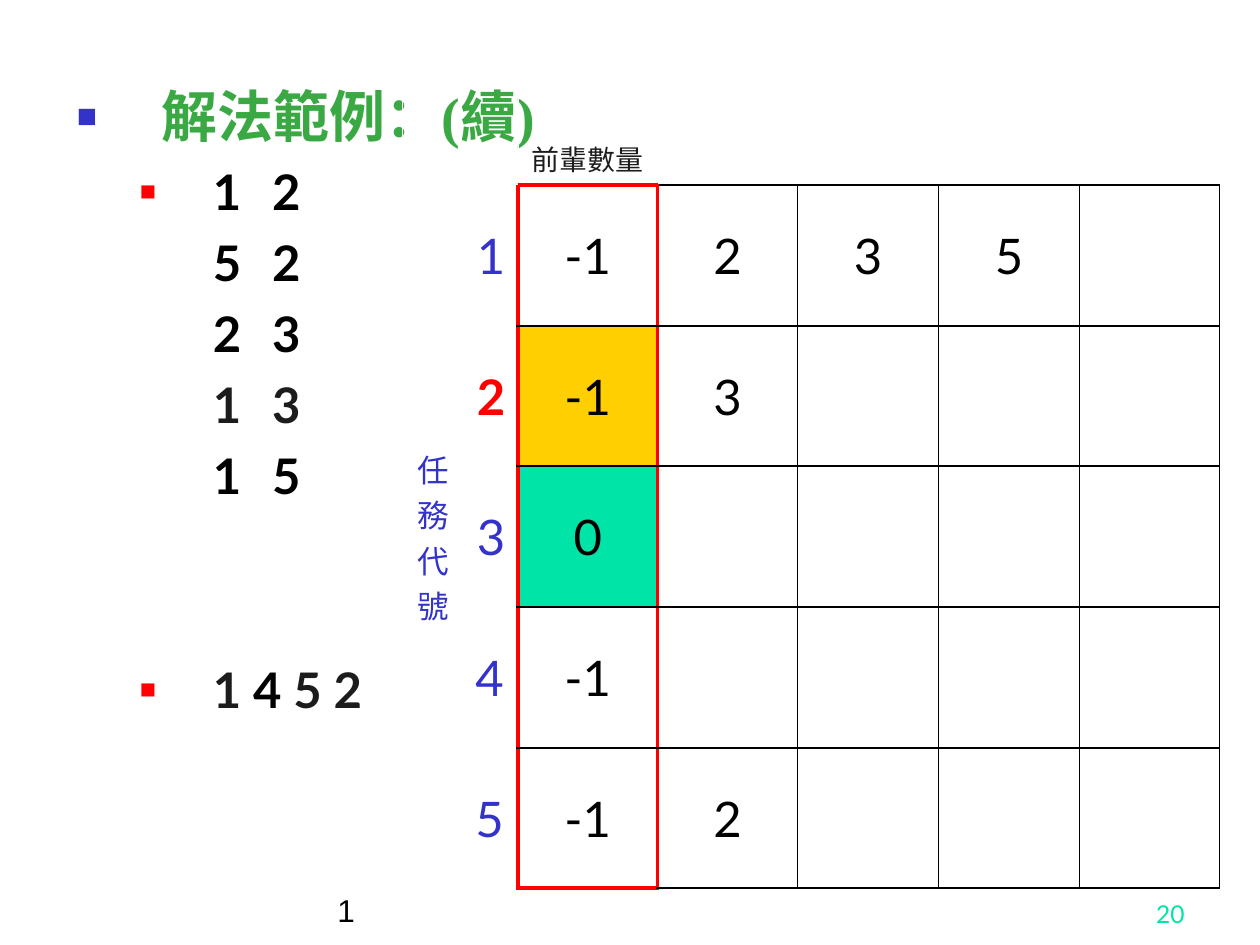
from lxml import etree
from pptx import Presentation
from pptx.dml.color import RGBColor
from pptx.enum.text import MSO_ANCHOR as Anchor, MSO_AUTO_SIZE as AutoSize, PP_ALIGN as Align
from pptx.oxml.ns import qn
from pptx.util import Inches, Pt

COLORS = {
    "white": "FFFFFF", "black": "000000", "ink": "1C1C1C", "red": "FF0000",
    "blue": "3333CC", "green": "3BA943", "gold": "FFCF01", "mint": "00E4A8",
}
COLUMN_WIDTHS = [0.47, 0.45, 1.11, 1.11, 1.12, 1.12, 1.11]
ROW_HEIGHTS = [1.11, 1.12, 1.11, 1.12, 1.12, 1.11]
TASKS = [
    ["1", "-1", "2", "3", "5"],
    ["2", "-1", "3"],
    ["3", "0"],
    ["4", "-1"],
    ["5", "-1", "2"],
]
COUNT_FILLS = {2: "gold", 3: "mint"}
CURRENT_TASK = 2
PAIRS = [("1", "2", "black"), ("5", "2", "black"), ("2", "3", "black"),
         ("1", "3", "ink"), ("1", "5", "black")]
ORDER = [("1", "ink"), (" 4 ", "black"), ("5 2", "ink")]


def rgb(color):
    return RGBColor.from_string(COLORS[color])


def add_run(paragraph, text, color, size, name="Lato", bold=False):
    run = paragraph.add_run()
    run.text = text
    for attribute, value in {"size": Pt(size), "name": name, "bold": bold}.items():
        setattr(run.font, attribute, value)
    run.font.color.rgb = rgb(color)
    return run


def set_outline(paragraph, level, left, hanging, before, bullet=None, percent=60):
    paragraph.level = level
    paragraph.space_before = Pt(before)
    props = paragraph._p.get_or_add_pPr()
    props.set("marL", str(Inches(left)))
    props.set("indent", str(-Inches(hanging) if bullet else 0))
    if bullet is None:
        etree.SubElement(props, qn("a:buNone"))
        return
    tint = etree.SubElement(props, qn("a:buClr"))
    etree.SubElement(tint, qn("a:srgbClr"), val=COLORS[bullet])
    etree.SubElement(props, qn("a:buSzPct"), val=str(percent * 1000))
    etree.SubElement(props, qn("a:buFont"), typeface="Arial")
    etree.SubElement(props, qn("a:buChar"), char="■")


def place_outline(slide, left, top, width, height):
    body = slide.placeholders[1]
    for attribute, value in {"left": left, "top": top, "width": width, "height": height}.items():
        setattr(body, attribute, Inches(value))
    frame = body.text_frame
    frame.auto_size = AutoSize.NONE
    frame.vertical_anchor = Anchor.TOP

    heading = frame.paragraphs[0]
    set_outline(heading, 0, 0.67, 0.67, 0, "blue")
    add_run(heading, "解法範例：(續)", "green", 32, "Times New Roman", True)

    for index, (first, second, color) in enumerate(PAIRS):
        pair = frame.add_paragraph()
        set_outline(pair, 1, 1.08, 0.58, 7, None if index else "red", 55)
        add_run(pair, first, color, 28, bold=True)
        gap = add_run(pair, " ", color, 28, bold=True)
        gap.font._element.set("spc", "1080")
        add_run(pair, second, color, 28, bold=True)

    order = frame.add_paragraph()
    set_outline(order, 1, 1.08, 0.58, 88.5, "red", 55)
    for text, color in ORDER:
        add_run(order, text, color, 28, bold=True)


def vertical_edge(x, row):
    if row == 0 or x < 2:
        return "white", 0.34
    if x in (2, 3):
        return "red", 2.21
    return "black", 1.08 if x == len(COLUMN_WIDTHS) else 0.45


def horizontal_edge(y, column):
    if y == 0 or column < 2:
        return "white", 0.34
    if y in (1, len(ROW_HEIGHTS)):
        return ("red", 2.21) if column == 2 else ("black", 1.08)
    return "black", 1.47


def set_borders(cell, row, column):
    props = cell._tc.get_or_add_tcPr()
    edges = {
        "a:lnL": vertical_edge(column, row),
        "a:lnR": vertical_edge(column + 1, row),
        "a:lnT": horizontal_edge(row, column),
        "a:lnB": horizontal_edge(row + 1, column),
    }
    for tag, (color, weight) in edges.items():
        line = etree.SubElement(props, qn(tag), w=str(Pt(weight)))
        fill = etree.SubElement(line, qn("a:solidFill"))
        etree.SubElement(fill, qn("a:srgbClr"), val=COLORS[color])


def write_cell(cell, text, color, size=28, align=Align.CENTER, anchor=Anchor.MIDDLE, bold=False):
    cell.vertical_anchor = anchor
    paragraph = cell.text_frame.paragraphs[0]
    paragraph.alignment = align
    add_run(paragraph, text, color, size, bold=bold)


def place_task_table(slide, left, top, width, height):
    frame = slide.shapes.add_table(len(ROW_HEIGHTS), len(COLUMN_WIDTHS),
                                   Inches(left), Inches(top), Inches(width), Inches(height))
    table = frame.table
    table.first_row = table.horz_banding = False
    for column, size in zip(table.columns, COLUMN_WIDTHS):
        column.width = Inches(size)
    for row, size in zip(table.rows, ROW_HEIGHTS):
        row.height = Inches(size)
    table.cell(0, 4).merge(table.cell(0, 6))
    table.cell(1, 0).merge(table.cell(5, 0))

    for row in range(len(ROW_HEIGHTS)):
        for column in range(len(COLUMN_WIDTHS)):
            cell = table.cell(row, column)
            set_borders(cell, row, column)
            if row and column == 2:
                cell.fill.solid()
                cell.fill.fore_color.rgb = rgb(COUNT_FILLS.get(row, "white"))
            else:
                cell.fill.background()

    write_cell(table.cell(0, 2), "前輩數量", "ink", 16, anchor=Anchor.BOTTOM)
    write_cell(table.cell(1, 0), "任務代號", "blue", 18, Align.RIGHT)
    for row, (task, *values) in enumerate(TASKS, 1):
        current = row == CURRENT_TASK
        write_cell(table.cell(row, 1), task, "red" if current else "blue",
                   align=Align.RIGHT if row <= 3 else Align.CENTER, bold=current)
        for column, value in enumerate(values, 2):
            write_cell(table.cell(row, column), value, "black")


def place_footer(slide, text, left, top, width, height, align, **style):
    footer = slide.shapes.add_textbox(Inches(left), Inches(top), Inches(width), Inches(height))
    frame = footer.text_frame
    frame.word_wrap = True
    frame.vertical_anchor = Anchor.BOTTOM
    frame.paragraphs[0].alignment = align
    add_run(frame.paragraphs[0], text, **style)


def main():
    deck = Presentation()
    deck.slide_width, deck.slide_height = Inches(10), Inches(7.5)
    slide = deck.slides.add_slide(deck.slide_layouts[1])
    title = slide.shapes.title._element
    title.getparent().remove(title)
    place_outline(slide, 0.51, 0.6, 8.98, 6.38)
    place_task_table(slide, 3.19, 0.36, sum(COLUMN_WIDTHS), sum(ROW_HEIGHTS))
    place_footer(slide, "1", 2.58, 6.92, 5.42, 0.5, Align.LEFT,
                 color="black", size=18, name="Arial")
    place_footer(slide, "20", 7.42, 6.92, 2.08, 0.5, Align.RIGHT, color="mint", size=14)
    deck.save("out.pptx")


if __name__ == "__main__":
    main()
